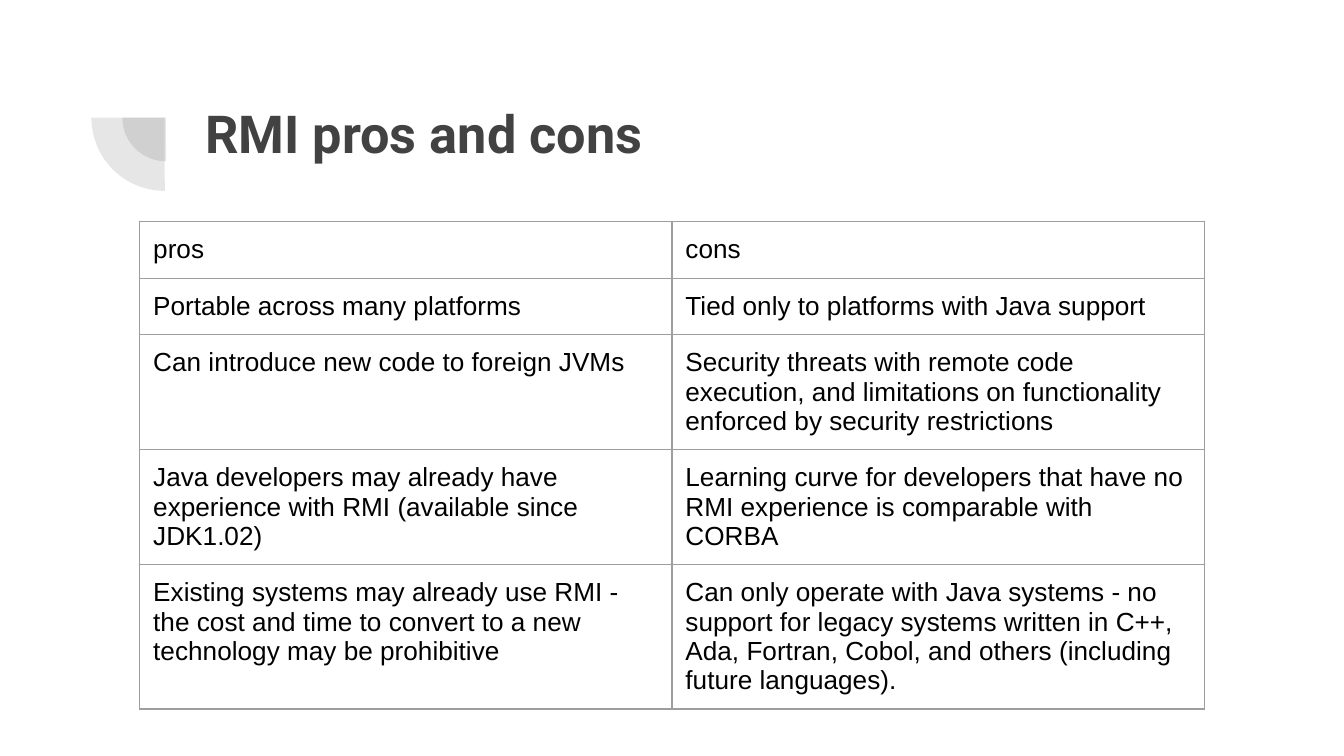
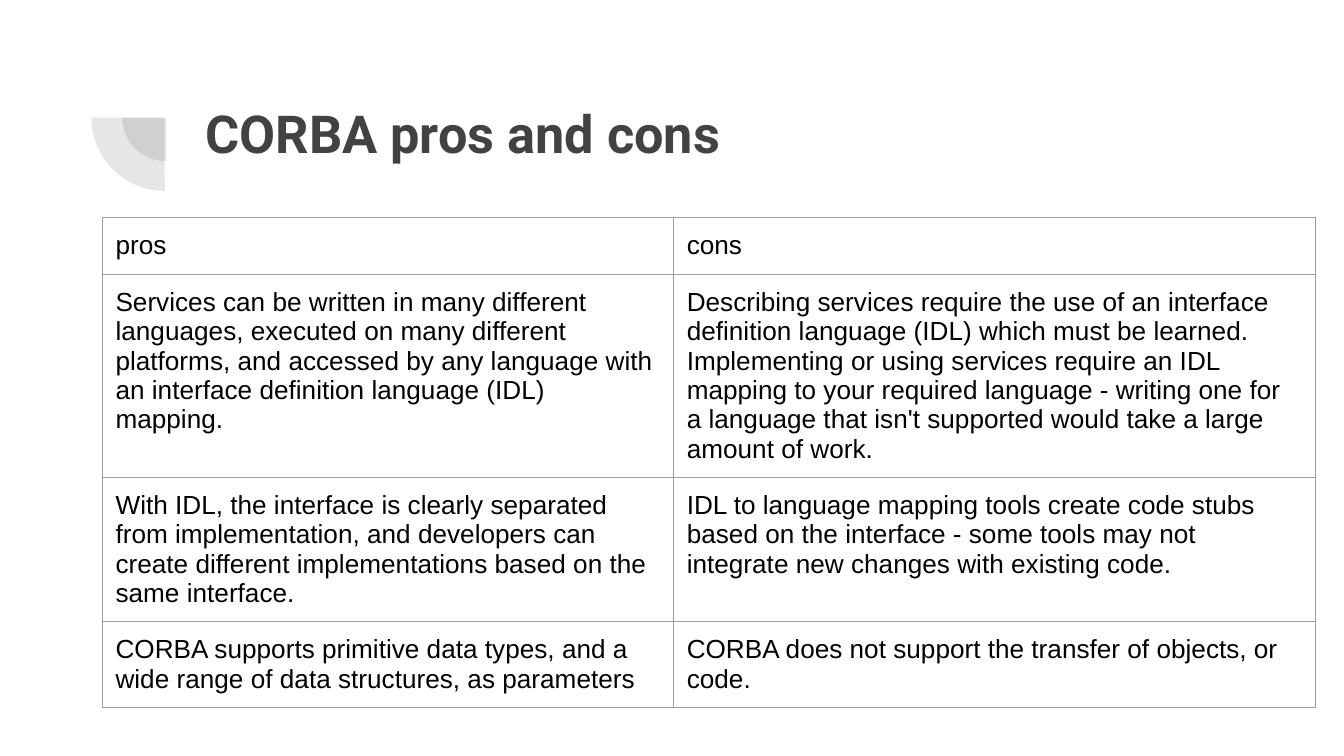
"""Build two slides that weigh the pros and cons of RMI and CORBA."""
from dataclasses import dataclass

from lxml import etree
from pptx import Presentation
from pptx.dml.color import RGBColor
from pptx.enum.shapes import MSO_SHAPE
from pptx.enum.text import MSO_ANCHOR, MSO_AUTO_SIZE, PP_ALIGN
from pptx.oxml.ns import qn
from pptx.util import Inches, Pt

PIE = MSO_SHAPE.PIE
TOP = MSO_ANCHOR.TOP
LEFT = PP_ALIGN.LEFT
FIXED = MSO_AUTO_SIZE.NONE

SLIDES = [
    {
        "title": "RMI pros and cons",
        "at": (1.04, 1.65),
        "cols": (3.96, 3.96),
        "rows": [
            ("pros", "cons"),
            ("Portable across many platforms",
             "Tied only to platforms with Java support"),
            ("Can introduce new code to foreign JVMs",
             "Security threats with remote code execution, and limitations on "
             "functionality enforced by security restrictions"),
            ("Java developers may already have experience with RMI "
             "(available since JDK1.02)",
             "Learning curve for developers that have no RMI experience is "
             "comparable with CORBA"),
            ("Existing systems may already use RMI - the cost and time to "
             "convert to a new technology may be prohibitive",
             "Can only operate with Java systems - no support for legacy "
             "systems written in C++, Ada, Fortran, Cobol, and others "
             "(including future languages)."),
        ],
    },
    {
        "title": "CORBA pros and cons",
        "at": (0.76, 1.62),
        "cols": (4.25, 4.78),
        "rows": [
            ("pros", "cons"),
            ("Services can be written in many different languages, executed "
             "on many different platforms, and accessed by any language with "
             "an interface definition language (IDL) mapping.",
             "Describing services require the use of an interface definition "
             "language (IDL) which must be learned. Implementing or using "
             "services require an IDL mapping to your required language - "
             "writing one for a language that isn't supported would take a "
             "large amount of work."),
            ("With IDL, the interface is clearly separated from "
             "implementation, and developers can create different "
             "implementations based on the same interface.",
             "IDL to language mapping tools create code stubs based on the "
             "interface - some tools may not integrate new changes with "
             "existing code."),
            ("CORBA supports primitive data types, and a wide range of data "
             "structures, as parameters",
             "CORBA does not support the transfer of objects, or code."),
        ],
    },
]


@dataclass(frozen=True)
class Theme:
    dark: RGBColor = RGBColor.from_string("424242")
    ink: RGBColor = RGBColor.from_string("000000")
    paper: RGBColor = RGBColor.from_string("FFFFFF")
    rule: str = "9E9E9E"
    rule_pt: float = 0.75
    head: str = "Roboto"
    body: str = "Arial"
    head_pt: int = 28
    body_pt: int = 14
    alpha: int = 13
    pad: float = 0.1
    row: float = 0.42
    pies: tuple = ((0.91, 0.55, 0.65), (0.68, 0.33, 1.09))
    title: tuple = (1.43, 0.65, 7.69, 1.09)


THEME = Theme()


def style(para, face, size, color, bold=False):
    font = para.font
    font.name, font.size, font.bold = face, Pt(size), bold
    font.color.rgb = color
    para.alignment = LEFT


def pad(box):
    gap = Inches(THEME.pad)
    box.margin_left = box.margin_right = gap
    box.margin_top = box.margin_bottom = gap
    box.vertical_anchor = TOP


def add_pies(slide):
    for spot in THEME.pies:
        x, y, size = map(Inches, spot)
        pie = slide.shapes.add_shape(PIE, x, y, size, size)
        pie.adjustments[0], pie.adjustments[1] = 107.93, 162
        pie.rotation = 270
        pie.shadow.inherit = False
        pie.line.fill.background()
        pie.fill.solid()
        pie.fill.fore_color.rgb = THEME.dark
        tint = pie.element.spPr.find(f".//{qn('a:srgbClr')}")
        etree.SubElement(tint, qn("a:alpha"), val=str(THEME.alpha * 1000))


def add_title(slide, text):
    title = slide.shapes.title
    title.left, title.top, title.width, title.height = map(Inches, THEME.title)
    frame = title.text_frame
    frame.text = text
    frame.word_wrap = True
    frame.auto_size = FIXED
    pad(frame)
    style(frame.paragraphs[0], THEME.head, THEME.head_pt, THEME.dark, True)


def add_edges(cell):
    props = cell._tc.get_or_add_tcPr()
    for i, side in enumerate(("lnL", "lnR", "lnT", "lnB")):
        line = etree.Element(qn(f"a:{side}"), w=str(Pt(THEME.rule_pt)))
        fill = etree.SubElement(line, qn("a:solidFill"))
        etree.SubElement(fill, qn("a:srgbClr"), val=THEME.rule)
        props.insert(i, line)


def add_grid(slide, at, cols, rows):
    x, y = map(Inches, at)
    high = Inches(THEME.row)
    table = slide.shapes.add_table(len(rows), len(cols), x, y,
                                   Inches(sum(cols)), high * len(rows)).table
    table.first_row = table.horz_banding = False
    for col, wide in zip(table.columns, cols):
        col.width = Inches(wide)
    for row, texts in zip(table.rows, rows):
        row.height = high
        for cell, text in zip(row.cells, texts):
            cell.text = text
            pad(cell)
            cell.fill.background()
            add_edges(cell)
            style(cell.text_frame.paragraphs[0], THEME.body, THEME.body_pt,
                  THEME.ink)


def main():
    deck = Presentation()
    deck.slide_width = Inches(10)
    deck.slide_height = deck.slide_width * 9 // 16
    layout = deck.slide_layouts.get_by_name("Title Only")
    back = deck.slide_master.background.fill
    back.solid()
    back.fore_color.rgb = THEME.paper
    for data in SLIDES:
        slide = deck.slides.add_slide(layout)
        add_pies(slide)
        add_title(slide, data["title"])
        add_grid(slide, data["at"], data["cols"], data["rows"])
    deck.save("out.pptx")


if __name__ == "__main__":
    main()
